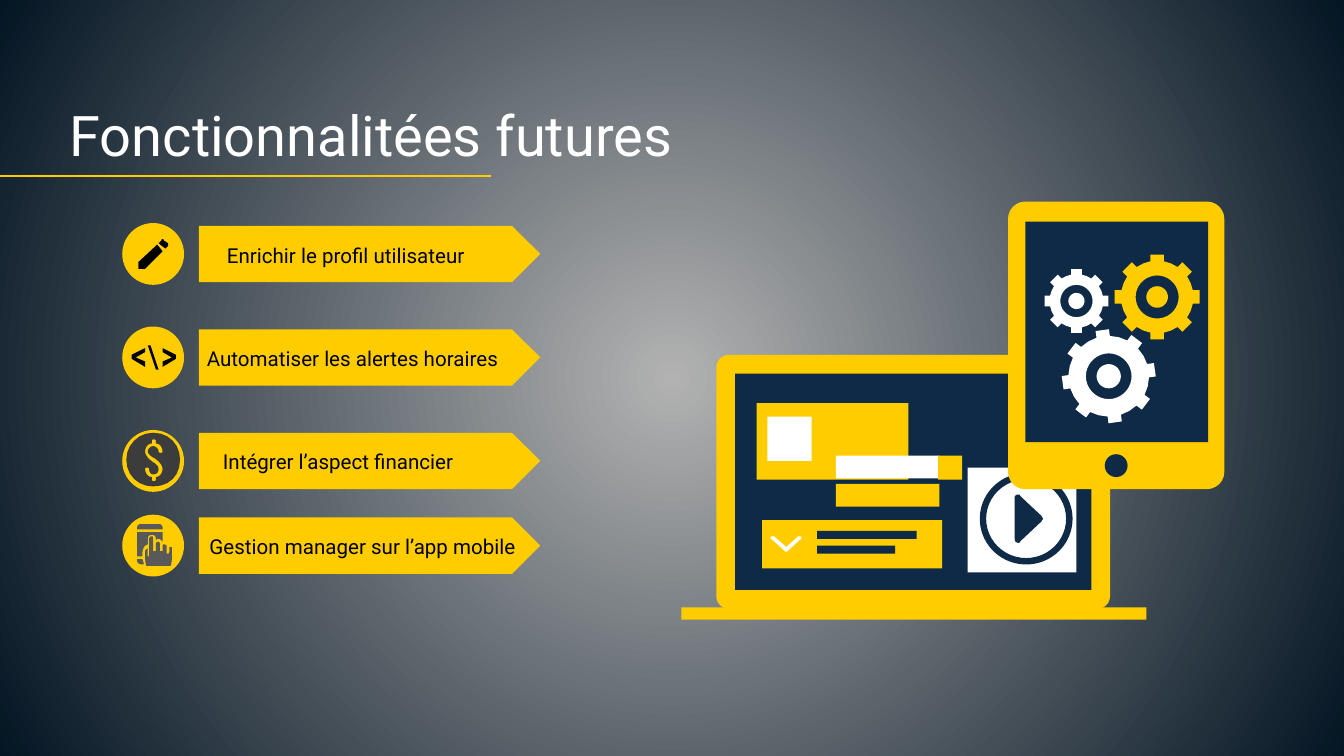
import math
from lxml import etree
from pptx import Presentation
from pptx import util as u
from pptx.dml.color import RGBColor
from pptx.enum import shapes as s, text as t
from pptx.oxml import ns

YELLOW = RGBColor(0xFF, 0xCC, 0x00)
NAVY = RGBColor(0x0E, 0x2A, 0x47)
WHITE = RGBColor(0xFF, 0xFF, 0xFF)
BLACK = RGBColor(0, 0, 0)
CHARCOAL = RGBColor(0x3C, 0x3C, 0x3C)
GRAY = RGBColor(0x59, 0x59, 0x59)
GLOW = RGBColor(0xB2, 0xB2, 0xB2)
NIGHT = RGBColor(0x04, 0x15, 0x23)
FONT = "Roboto"

TITLE = ("Fonctionnalitées futures", (0.42, 0.69, 8.57, 0.66))
FEATURES = [
    ("Enrichir le profil utilisateur", 1.68, (1.59, 1.76, 2.27, 0.32)),
    ("Automatiser les alertes horaires", 2.45, (1.44, 2.41, 2.51, 0.44)),
    ("Intégrer l’aspect financier", 3.22, (1.56, 3.28, 2.27, 0.34)),
    ("Gestion manager sur l’app mobile", 3.85, (1.46, 3.91, 2.65, 0.34)),
]

# Outlines are in hundredths of an inch: M starts, L draws lines, C draws curves.
PENCIL = ("M 121 178 C 121 178 120 178 120 179 L 118 181 123 185 125 183 "
          "C 125 183 125 182 125 181 L 122 179 C 122 178 121 178 121 178 "
          "M 117 182 L 103 195 103 200 108 200 121 187")
CODE = [
    "M 108 273 L 98 267 98 264 108 259 108 262 101 266 108 269",
    "M 116 275 L 110 257 112 257 118 275",
    "M 121 273 L 121 269 128 266 121 262 121 259 131 264 131 267",
]
COIN = ("M 114 327 C 115 327 116 327 116 328 L 116 330 C 119 330 121 333 121 336 "
        "121 337 120 337 120 337 119 337 118 337 118 336 118 334 116 332 114 332 "
        "112 332 110 334 110 336 110 338 113 340 115 341 118 343 121 346 121 349 "
        "121 352 119 355 116 355 L 116 357 C 116 358 115 358 114 358 "
        "114 358 113 358 113 357 L 113 355 C 110 355 108 352 108 349 "
        "108 348 109 348 109 348 110 348 111 348 111 349 111 351 112 353 114 353 "
        "117 353 118 351 118 349 118 347 116 345 114 344 111 342 108 339 108 336 "
        "108 333 110 330 113 330 L 113 328 C 113 327 114 327 114 327 "
        "M 114 322 C 103 322 94 331 94 342 94 354 103 362 114 362 "
        "126 362 134 354 134 342 134 331 126 322 114 322")
TOUCH = [
    "M 102 416 L 102 417 C 102 418 103 420 105 420 L 107 420 C 107 418 106 417 106 416",
    "M 102 396 L 102 414 106 414 C 106 414 106 413 106 413 L 106 411 "
    "C 106 409 107 407 108 406 L 110 405 110 401 C 110 399 111 398 113 398 "
    "115 398 116 399 116 401 L 116 402 C 117 401 117 401 118 401 "
    "119 401 120 402 121 403 L 121 396",
    "M 105 390 C 103 390 102 391 102 393 L 102 394 121 394 121 393 "
    "C 121 391 120 390 118 390",
    "M 113 399 C 112 399 111 400 111 401 L 111 413 C 111 414 111 414 110 414 "
    "110 414 110 414 110 413 L 110 408 C 108 409 108 410 108 411 L 108 413 "
    "C 108 416 108 418 109 421 L 126 421 127 421 C 128 418 128 416 128 413 "
    "L 128 408 C 128 407 128 407 127 407 126 407 126 407 126 408 L 126 411 "
    "C 126 412 125 412 125 412 124 412 124 412 124 411 L 124 406 "
    "C 124 406 123 405 122 405 121 405 121 406 121 406 L 121 410 "
    "C 121 410 120 410 120 410 119 410 119 410 119 410 L 119 404 "
    "C 119 404 118 403 118 403 117 403 116 404 116 404 L 116 410 "
    "C 116 410 116 410 115 410 115 410 114 410 114 410 L 114 401 "
    "C 114 400 114 399 113 399",
]
CHEVRON = ("M 595 399 C 595 399 594 399 594 399 L 585 407 576 399 "
           "C 576 399 575 399 575 399 575 399 574 399 574 399 573 400 573 401 574 401 "
           "L 584 410 C 584 410 585 411 585 411 585 411 586 410 586 410 "
           "L 596 401 C 597 400 596 399 595 399")
PLAY = ("M 758 368 C 756 368 755 369 755 370 L 755 401 C 755 403 756 404 758 404 "
        "758 404 759 404 759 403 L 775 388 C 775 387 776 387 776 386 "
        "776 385 775 385 775 384 L 759 369 C 759 368 758 368 758 368")

RECTANGLE = s.MSO_SHAPE.RECTANGLE
ROUNDED = s.MSO_SHAPE.ROUNDED_RECTANGLE
ELLIPSE = s.MSO_SHAPE.OVAL
LAPTOP = [
    (ROUNDED, (5.33, 2.64, 2.93, 1.89), YELLOW, 0.05),
    (RECTANGLE, (5.47, 2.78, 2.65, 1.61), NAVY, None),
    (RECTANGLE, (5.07, 4.52, 3.46, 0.09), YELLOW, None),
    (RECTANGLE, (5.63, 3, 1.13, 0.57), YELLOW, None),
    (RECTANGLE, (5.71, 3.1, 0.33, 0.33), WHITE, None),
    (RECTANGLE, (5.67, 3.87, 1.34, 0.36), YELLOW, None),
    (RECTANGLE, (6.08, 3.95, 0.74, 0.06), NAVY, None),
    (RECTANGLE, (6.08, 4.06, 0.58, 0.06), NAVY, None),
    (RECTANGLE, (6.22, 3.6, 0.77, 0.17), YELLOW, None),
    (RECTANGLE, (6.22, 3.39, 0.77, 0.17), WHITE, None),
    (RECTANGLE, (6.98, 3.39, 0.18, 0.18), YELLOW, None),
    (RECTANGLE, (7.2, 3.48, 0.81, 0.78), WHITE, None),
    (s.MSO_SHAPE.DONUT, (7.29, 3.52, 0.69, 0.68), NAVY, 0.07),
]
TABLET = [
    (ROUNDED, (7.5, 1.5, 1.61, 2.14), YELLOW, 0.08),
    (RECTANGLE, (7.63, 1.65, 1.36, 1.64), NAVY, None),
    (ELLIPSE, (8.22, 3.38, 0.17, 0.17), NAVY, None),
]
GEARS = [
    (8.61, 2.21, 0.32, 0.27, 0.05, (0.16, 0.08), 0, YELLOW),
    (8.01, 2.24, 0.24, 0.2, 0.04, (0.12, 0.06), 0, WHITE),
    (8.25, 2.8, 0.35, 0.3, 0.05, (0.17, 0.09), -8, WHITE),
]


def finish(shape, color):
    shape.shadow.inherit = False
    shape.fill.solid()
    shape.fill.fore_color.rgb = color
    shape.line.fill.background()
    return shape


def add_preset(slide, kind, box, color, adjustment=None):
    shape = finish(slide.shapes.add_shape(kind, *map(u.Inches, box)), color)
    if adjustment is not None:
        shape.adjustments[0] = adjustment


def add_outline(slide, contours, color):
    contours = [[(u.Inches(x), u.Inches(y)) for x, y in points] for points in contours]
    builder = slide.shapes.build_freeform(*contours[0][0], scale=1.0)
    for index, points in enumerate(contours):
        if index:
            builder.move_to(*points[0])
        builder.add_line_segments(points[1:], close=True)
    finish(builder.convert_to_shape(), color)


def read_contours(outline, steps=6):
    contours, numbers, command = [], [], ""
    for token in outline.split():
        if token.isalpha():
            command = token
            continue
        numbers.append(int(token) / 100)
        if len(numbers) < (6 if command == "C" else 2):
            continue
        pairs = list(zip(numbers[::2], numbers[1::2]))
        numbers = []
        if command == "M":
            contours.append(pairs)
        elif command == "L":
            contours[-1] += pairs
        else:
            controls = [contours[-1][-1]] + pairs
            for step in range(1, steps + 1):
                f = step / steps
                weights = ((1 - f) ** 3, 3 * f * (1 - f) ** 2, 3 * f * f * (1 - f), f ** 3)
                contours[-1].append(tuple(
                    sum(w * point[axis] for w, point in zip(weights, controls))
                    for axis in (0, 1)))
    return contours


def add_gear(slide, x, y, outer, inner, half_tooth, rings, turn, color, teeth=8):
    def at(radius, angle):
        return x + radius * math.sin(angle), y - radius * math.cos(angle)

    rim = []
    root, tip = math.asin(half_tooth / inner), math.asin(half_tooth / outer)
    pitch = math.tau / teeth
    for tooth in range(teeth):
        angle = math.radians(turn) + tooth * pitch
        rim += [at(inner, angle - root), at(outer, angle - tip), at(outer, angle + tip),
                at(inner, angle + root), at(inner, angle + pitch / 2)]
    circles = [[at(radius, math.tau * i / 36) for i in range(36)] for radius in rings]
    add_outline(slide, [rim] + circles, color)


def add_text(slide, words, box, size, color):
    frame = slide.shapes.add_textbox(*map(u.Inches, box)).text_frame
    frame.word_wrap = True
    frame.vertical_anchor = t.MSO_ANCHOR.BOTTOM
    frame.margin_left = frame.margin_right = u.Inches(0.1)
    frame.margin_top = frame.margin_bottom = u.Inches(0.1)
    run = frame.paragraphs[0].add_run()
    run.text = words
    run.font.name, run.font.size, run.font.color.rgb = FONT, u.Pt(size), color


def paint_background(slide):
    fill = slide.background.fill
    fill.gradient()
    for stop, color in zip(fill.gradient_stops, (GLOW, NIGHT)):
        stop.color.rgb = color
    gradient = next(slide.element.iter(ns.qn("a:gradFill")))
    gradient.remove(gradient.find(ns.qn("a:lin")))
    circle = etree.SubElement(gradient, ns.qn("a:path"), {"path": "circle"})
    etree.SubElement(circle, ns.qn("a:fillToRect"), dict.fromkeys("ltrb", "50000"))


def main():
    presentation = Presentation()
    presentation.slide_width = u.Inches(10)
    presentation.slide_height = u.Inches(10 * 9 / 16)
    slide = presentation.slides.add_slide(presentation.slide_layouts[6])
    paint_background(slide)

    add_text(slide, *TITLE, 30, WHITE)
    rule = slide.shapes.add_connector(
        s.MSO_CONNECTOR.STRAIGHT, 0, u.Inches(1.31), u.Inches(3.65), u.Inches(1.31))
    rule.line.color.rgb, rule.line.width = YELLOW, u.Pt(0.75)
    etree.SubElement(rule.element.spPr, ns.qn("a:effectLst"))

    for words, top, text_box in FEATURES:
        add_preset(slide, s.MSO_SHAPE.PENTAGON, (1.48, top, 2.54, 0.42), YELLOW, 0.5)
        add_preset(slide, ELLIPSE, (0.91, top - 0.02, 0.46, 0.46), YELLOW)
        add_text(slide, words, text_box, 11, BLACK)
    for outlines, color in (([PENCIL] + CODE, BLACK), ([COIN], CHARCOAL), (TOUCH, GRAY)):
        for outline in outlines:
            add_outline(slide, read_contours(outline), color)

    for part in LAPTOP:
        add_preset(slide, *part)
    for outline, color in ((CHEVRON, WHITE), (PLAY, NAVY)):
        add_outline(slide, read_contours(outline), color)
    for part in TABLET:
        add_preset(slide, *part)
    for gear in GEARS:
        add_gear(slide, *gear)

    presentation.save("out.pptx")


if __name__ == "__main__":
    main()
